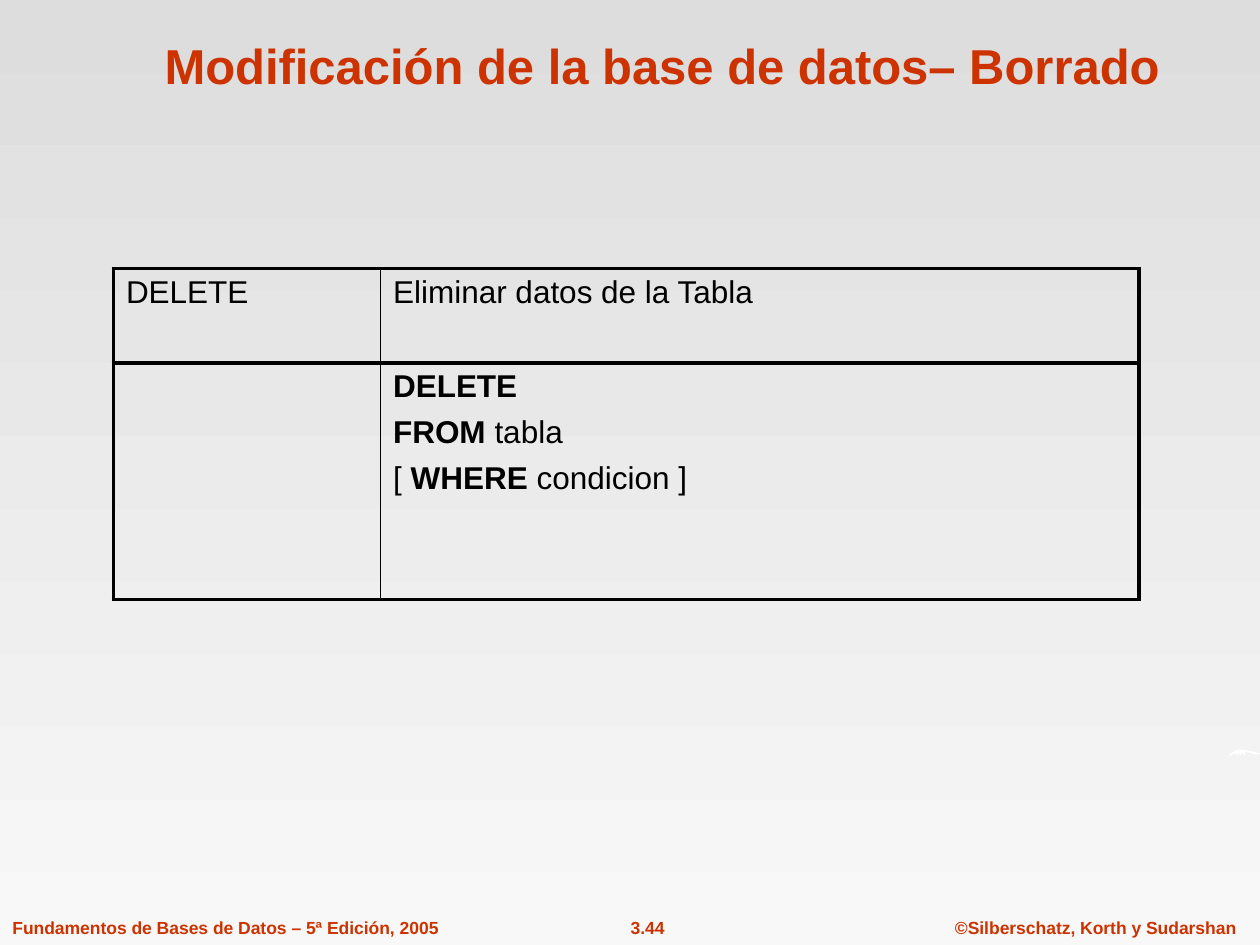
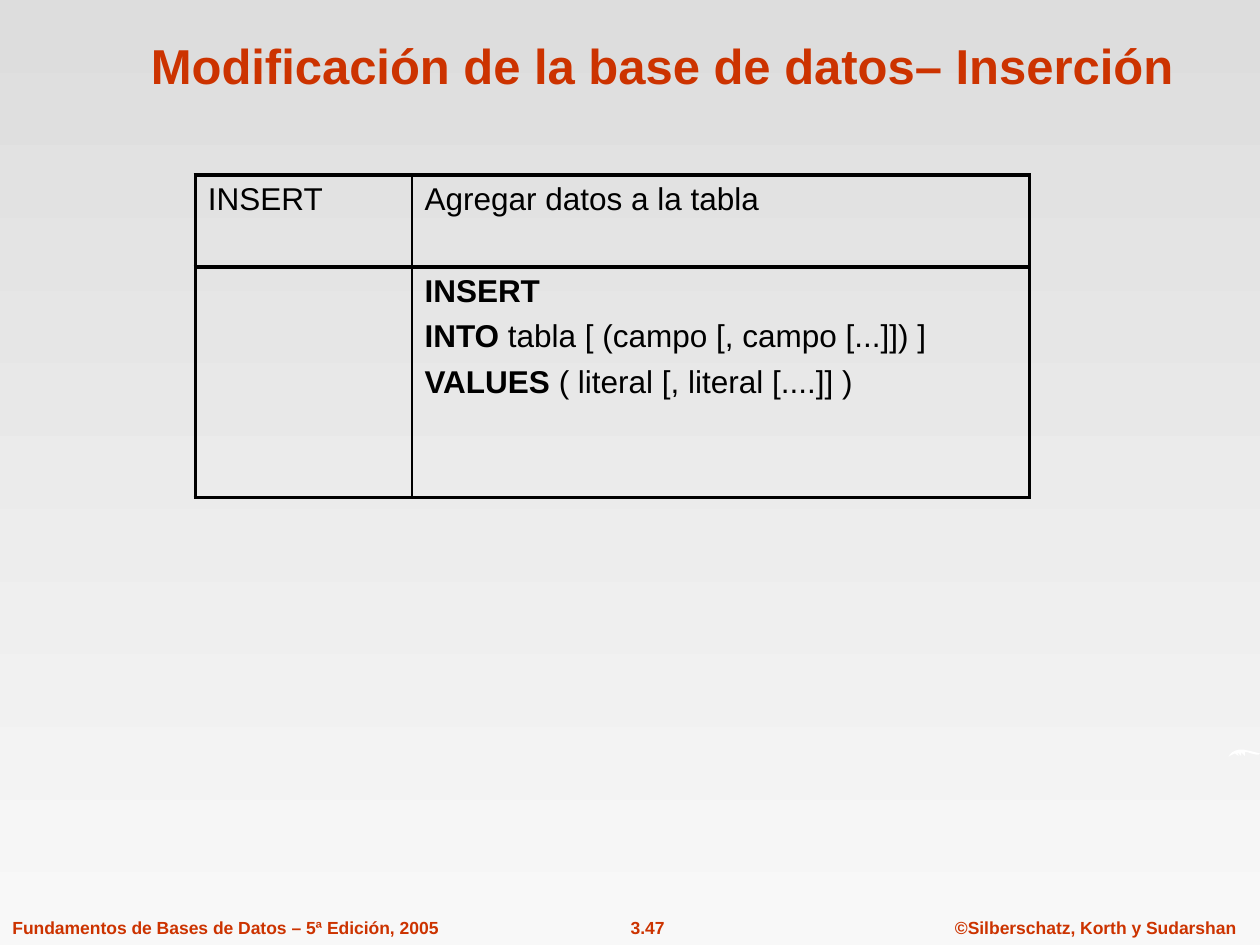
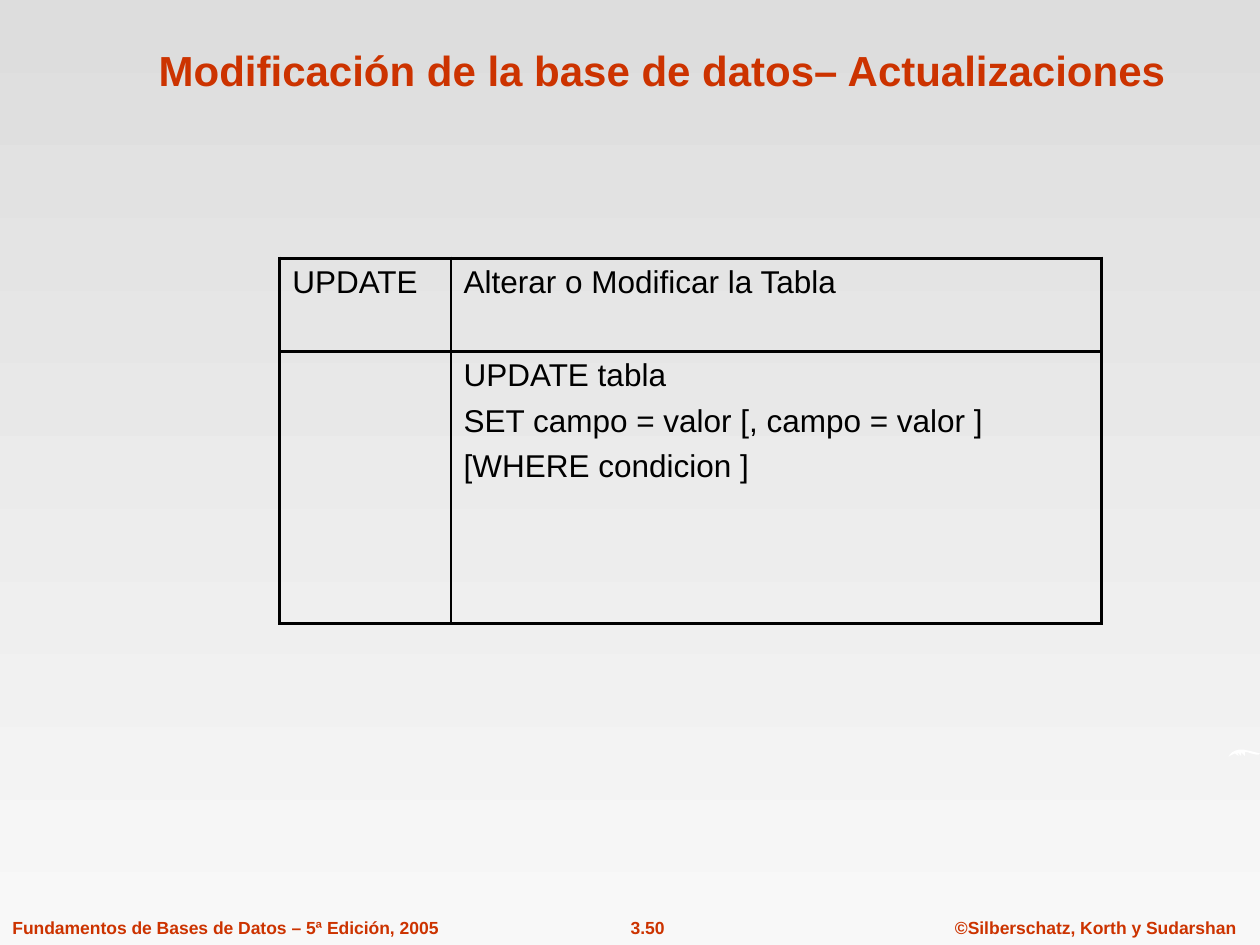
from dataclasses import dataclass

from lxml.etree import SubElement
from pptx import Presentation
from pptx.dml.color import RGBColor
from pptx.enum.text import MSO_ANCHOR, MSO_AUTO_SIZE, PP_ALIGN
from pptx.oxml.ns import qn
from pptx.util import Inches, Pt


@dataclass(frozen=True)
class Theme:
    font: str = "Arial"
    accent: RGBColor = RGBColor(0xCC, 0x33, 0x00)
    ink: RGBColor = RGBColor(0, 0, 0)
    white: RGBColor = RGBColor(0xFF, 0xFF, 0xFF)
    sky_top: RGBColor = RGBColor(0xDD, 0xDD, 0xDD)
    sky_bottom: RGBColor = RGBColor(0xF8, 0xF8, 0xF8)
    title_size: int = 28
    body_size: int = 18
    footer_size: int = 10
    line_gap: int = 6
    frame_width: float = 2.25
    divider_width: float = 1


# Hundredths of an inch, clockwise from the left tip
SWOOSH = [
    (975, 601), (976, 599), (978, 597), (980, 596), (983, 595), (987, 595),
    (992, 596), (996, 597), (1000, 598), (999, 599), (997, 599), (993, 598),
    (990, 597), (988, 597), (988, 600), (985, 597), (985, 600), (982, 597),
    (983, 600), (980, 598), (978, 599), (976, 600),
]

FOOTERS = {
    "source": ("Fundamentos de Bases de Datos – 5ª Edición, 2005", 0, 3.58, PP_ALIGN.LEFT),
    "copyright": ("©Silberschatz, Korth y Sudarshan", 7.48, 2.43, PP_ALIGN.CENTER),
}

# Asterisks enclose the bold words of the syntax lines
STATEMENTS = [
    dict(
        page="3.44", topic="Borrado", corner=(0.9, 2.13),
        columns=(2.12, 6.02), rows=(0.75, 1.88),
        command="DELETE", purpose="Eliminar datos de la Tabla",
        syntax=["*DELETE*", "*FROM* tabla", "[ *WHERE* condicion ]"],
    ),
    dict(
        page="3.47", topic="Inserción", corner=(1.55, 1.39),
        columns=(1.72, 4.9), rows=(0.73, 1.83),
        command="INSERT", purpose="Agregar datos a la tabla",
        syntax=["*INSERT*", "*INTO* tabla [ (campo [, campo [...]]) ]",
                "*VALUES* ( literal [, literal [....]] )"],
    ),
    dict(
        page="3.50", topic="Actualizaciones", corner=(2.22, 2.05),
        columns=(1.36, 5.16), rows=(0.74, 2.16), title_size=24,
        command="UPDATE", purpose="Alterar o Modificar la Tabla",
        syntax=["UPDATE tabla", "SET campo = valor [, campo = valor ]",
                "[WHERE condicion ]"],
    ),
]


class Deck:
    def __init__(self, theme):
        self.theme = theme
        self.presentation = Presentation()
        self.presentation.slide_width = Inches(10)
        self.presentation.slide_height = Inches(7.5)
        self.slide = None

    def start_slide(self, page):
        self.slide = self.presentation.slides.add_slide(self.presentation.slide_layouts[6])
        self.background()
        self.swoosh()
        self.footer(page, 4.86, 0.56, PP_ALIGN.CENTER)
        for footer in FOOTERS.values():
            self.footer(*footer)

    def background(self):
        fill = self.slide.background.fill
        fill.gradient()
        fill.gradient_angle = 270
        colors = (self.theme.sky_top, self.theme.sky_bottom)
        for position, (stop, color) in enumerate(zip(fill.gradient_stops, colors)):
            stop.position = position
            stop.color.rgb = color

    def swoosh(self):
        builder = self.slide.shapes.build_freeform(*SWOOSH[0], scale=Inches(0.01))
        builder.add_line_segments(SWOOSH[1:], close=True)
        swoosh = builder.convert_to_shape()
        swoosh.shadow.inherit = False
        swoosh.fill.solid()
        swoosh.fill.fore_color.rgb = self.theme.white
        swoosh.line.fill.background()

    def style(self, run, size, color, bold):
        run.font.name = self.theme.font
        run.font.size = Pt(size)
        run.font.color.rgb = color
        run.font.bold = bold

    def label(self, text, left, top, width, height, size, align):
        """Add one bold line in the accent colour and return its text frame."""
        box = self.slide.shapes.add_textbox(
            Inches(left), Inches(top), Inches(width), Inches(height))
        frame = box.text_frame
        frame.text = text
        line = frame.paragraphs[0]
        line.alignment = align
        self.style(line.runs[0], size, self.theme.accent, True)
        return frame

    def footer(self, text, left, width, align):
        frame = self.label(text, left, 7.23, width, 0.27, self.theme.footer_size, align)
        frame.word_wrap = False
        frame.auto_size = MSO_AUTO_SIZE.SHAPE_TO_FIT_TEXT

    def title(self, text, size):
        frame = self.label(text, 0.84, 0.13, 8.83, 0.67, size, PP_ALIGN.CENTER)
        frame.word_wrap = True
        frame.vertical_anchor = MSO_ANCHOR.BOTTOM

    def table(self, corner, columns, rows, content):
        left, top = corner
        table = self.slide.shapes.add_table(
            len(rows), len(columns), Inches(left), Inches(top),
            Inches(sum(columns)), Inches(sum(rows))).table
        table.first_row = table.horz_banding = False
        for column, width in zip(table.columns, columns):
            column.width = Inches(width)
        for row, height, row_content in zip(table.rows, rows, content):
            row.height = Inches(height)
            for index, (cell, lines) in enumerate(zip(row.cells, row_content)):
                self.borders(cell, index == 0, index == len(columns) - 1)
                cell.fill.background()
                self.cell_lines(cell.text_frame, lines)

    def borders(self, cell, is_first, is_last):
        frame, divider = self.theme.frame_width, self.theme.divider_width
        widths = {
            "a:lnL": frame if is_first else divider,
            "a:lnR": frame if is_last else divider,
            "a:lnT": frame,
            "a:lnB": frame,
        }
        properties = cell._tc.get_or_add_tcPr()
        for side, width in widths.items():
            border = SubElement(properties, qn(side), w=str(Pt(width)))
            solid = SubElement(border, qn("a:solidFill"))
            SubElement(solid, qn("a:srgbClr"), val=str(self.theme.ink))

    def cell_lines(self, frame, lines):
        for number, line in enumerate(lines):
            paragraph = frame.add_paragraph() if number else frame.paragraphs[0]
            if number:
                paragraph.space_before = Pt(self.theme.line_gap)
            for part, words in enumerate(line.split("*")):
                if words:
                    run = paragraph.add_run()
                    run.text = words
                    self.style(run, self.theme.body_size, self.theme.ink, part % 2 == 1)


def main():
    deck = Deck(Theme())
    for statement in STATEMENTS:
        deck.start_slide(statement["page"])
        deck.title(f"Modificación de la base de datos– {statement['topic']}",
                   statement.get("title_size", deck.theme.title_size))
        deck.table(
            statement["corner"], statement["columns"], statement["rows"],
            [[[statement["command"]], [statement["purpose"]]],
             [[], statement["syntax"]]])
    deck.presentation.save("out.pptx")


if __name__ == "__main__":
    main()
